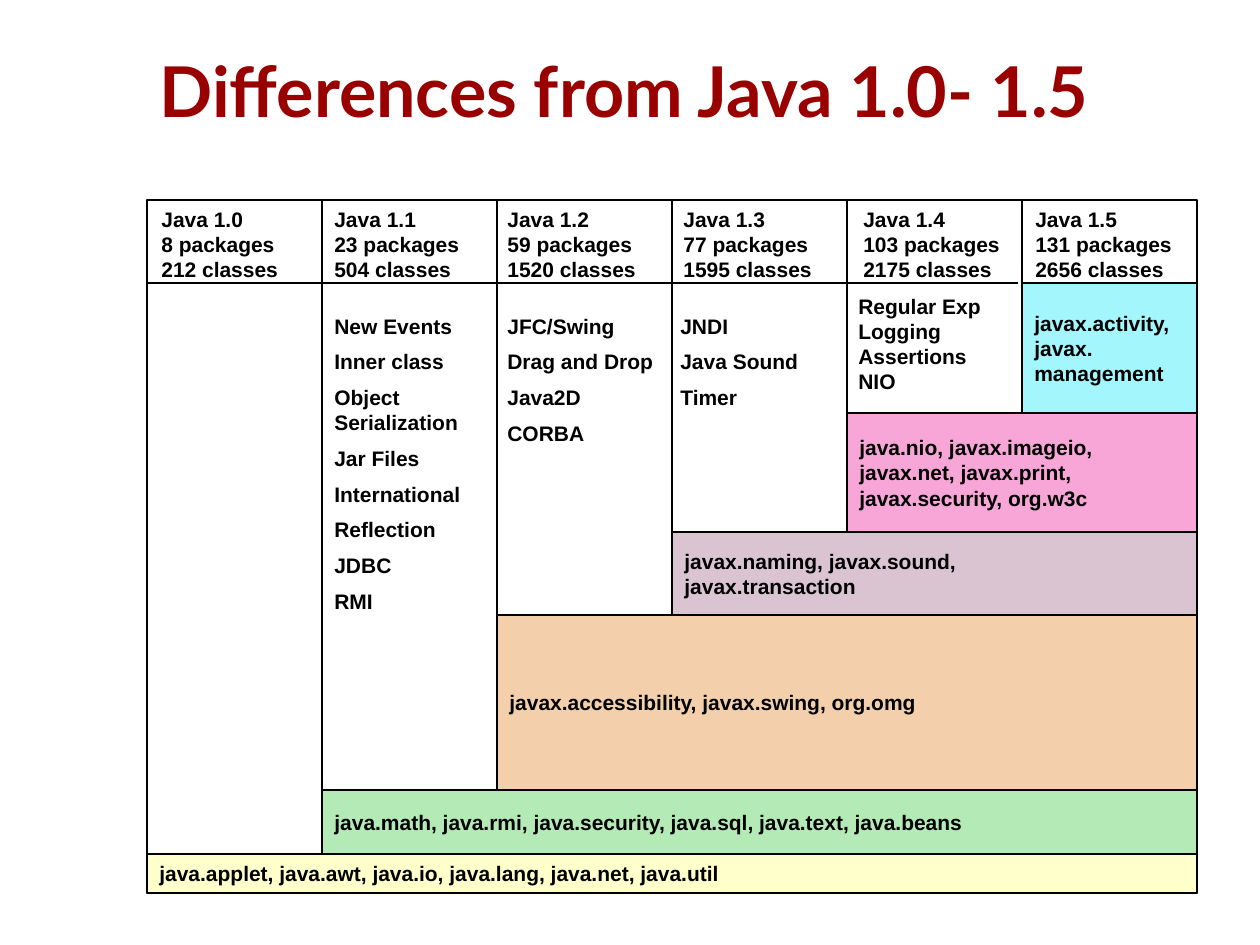
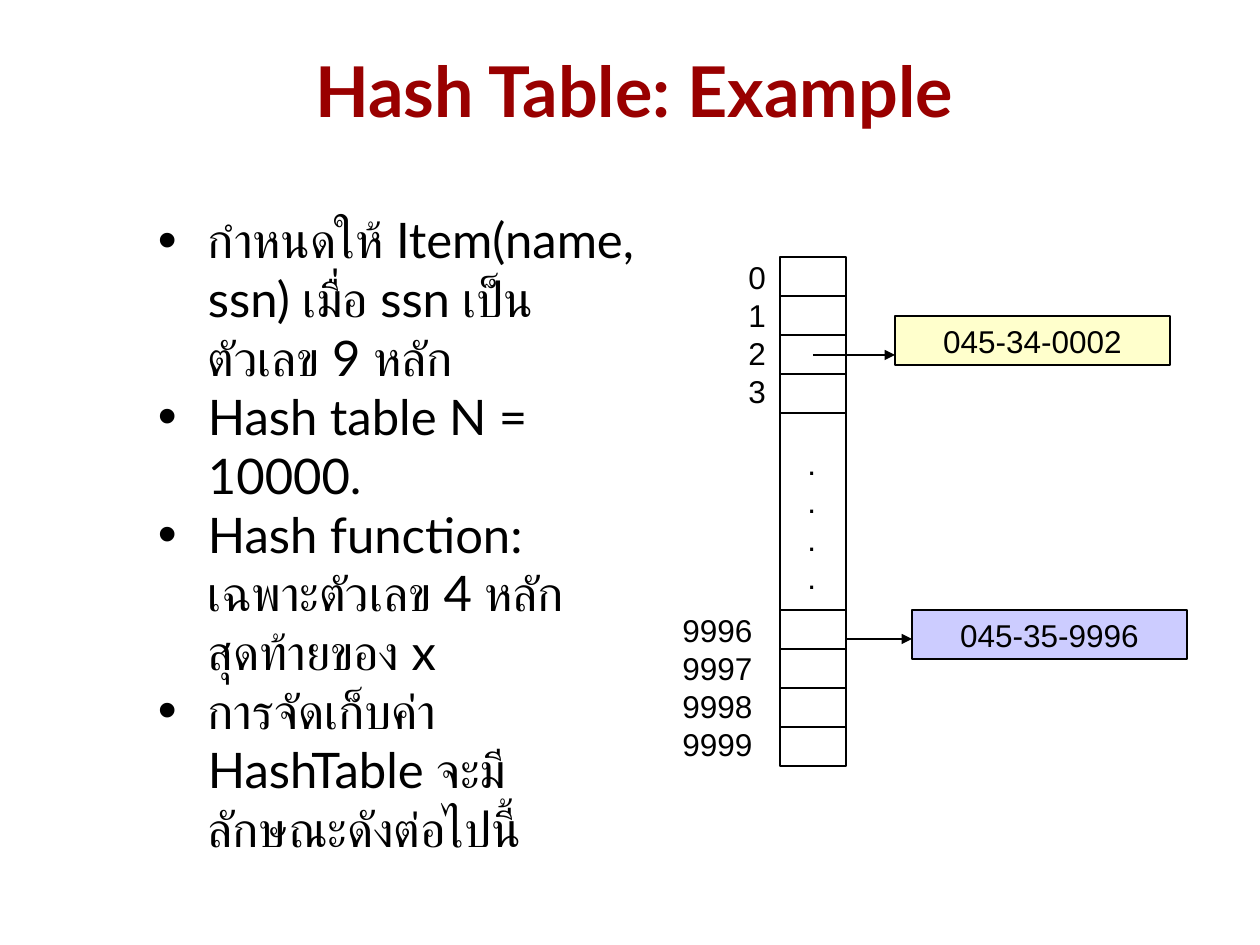
from lxml import etree
from pptx import Presentation
from pptx.dml.color import RGBColor
from pptx.enum.shapes import MSO_CONNECTOR, MSO_SHAPE
from pptx.enum.text import MSO_ANCHOR, MSO_AUTO_SIZE, PP_ALIGN
from pptx.oxml.ns import qn
from pptx.util import Emu, Pt

RECTANGLE = MSO_SHAPE.RECTANGLE
STRAIGHT = MSO_CONNECTOR.STRAIGHT
MIDDLE, TOP = MSO_ANCHOR.MIDDLE, MSO_ANCHOR.TOP
LEFT, CENTER = PP_ALIGN.LEFT, PP_ALIGN.CENTER
NO_AUTOFIT = MSO_AUTO_SIZE.NONE

EMU_PER_PX = 914400 / 126
SLIDE_SIZE = (1260, 945)
TITLE_FONT, LABEL_FONT = "Lato", "Arial"
LINE_FACTOR = 1.2
COLORS = {
    "title": "990000",
    "black": "000000",
    "yellow": "FFFFCC",
    "green": "B4EAB5",
    "orange": "F3CFAB",
    "mauve": "DAC4D1",
    "pink": "F8A6D7",
    "cyan": "A2F6FC",
    "lavender": "CCCCFF",
}

GRID_LEFT, GRID_TOP, GRID_RIGHT, GRID_BOTTOM = 147, 200, 1197, 893
COLUMN_WIDTH = 175
HEADER_BOTTOM = 283
VERSIONS = [
    ("Java 1.0", 8, 212, 149),
    ("Java 1.1", 23, 504, 322),
    ("Java 1.2", 59, 1520, 495),
    ("Java 1.3", 77, 1595, 671),
    ("Java 1.4", 103, 2175, 851),
    ("Java 1.5", 131, 2656, 1023),
]
PACKAGE_LAYERS = [
    (854, "yellow", ["java.applet, java.awt, java.io, java.lang, java.net, java.util"]),
    (790, "green", ["java.math, java.rmi, java.security, java.sql, java.text, java.beans"]),
    (615, "orange", ["javax.accessibility, javax.swing, org.omg"]),
    (532, "mauve", ["javax.naming, javax.sound,", "javax.transaction"]),
    (413, "pink", ["java.nio, javax.imageio,", "javax.net, javax.print,",
                   "javax.security, org.w3c"]),
    (283, "cyan", ["javax.activity,", "javax.", "management"]),
]
FEATURES = [
    (322, 307, 6, ["New Events", "Inner class", "Object Serialization", "Jar Files",
                   "International", "Reflection", "JDBC", "RMI"]),
    (495, 307, 6, ["JFC/Swing", "Drag and Drop", "Java2D", "CORBA"]),
    (668, 307, 6, ["JNDI", "Java Sound", "Timer"]),
    (846, 287, 0, ["Regular Exp", "Logging", "Assertions", "NIO"]),
]

HASH_POINTS = [
    "กำหนดให้ Item(name, ssn) เมื่อ ssn เป็นตัวเลข 9 หลัก",
    "Hash table N = 10000.",
    "Hash function: เฉพาะตัวเลข 4 หลักสุดท้ายของ x",
    "การจัดเก็บค่า HashTable จะมีลักษณะดังต่อไปนี้",
]
BUCKET_LEFT, BUCKET_TOP, BUCKET_WIDTH, BUCKET_HEIGHT = 780, 257, 66, 509
SLOT_HEIGHT = 39


def px(length):
    return Emu(round(length * EMU_PER_PX))


def color(name):
    return RGBColor.from_string(COLORS[name])


def style_font(paragraph, size, font_name, color_name="black", bold=False):
    paragraph.font.size = Pt(size)
    paragraph.font.name = font_name
    paragraph.font.bold = bold
    paragraph.font.color.rgb = color(color_name)


def write_lines(frame, lines, size, bold=False, align=LEFT, gap=0):
    for index, line in enumerate(lines):
        paragraph = frame.add_paragraph() if index else frame.paragraphs[0]
        paragraph.text = line
        paragraph.alignment = align
        paragraph.line_spacing = Pt(size * LINE_FACTOR)
        paragraph.space_before = Pt(gap if index else 0)
        style_font(paragraph, size, LABEL_FONT, bold=bold)


def add_box(slide, left, top, width, height, fill=None):
    shape = slide.shapes.add_shape(RECTANGLE, px(left), px(top), px(width), px(height))
    shape.shadow.inherit = False
    if fill:
        shape.fill.solid()
        shape.fill.fore_color.rgb = color(fill)
    else:
        shape.fill.background()
    shape.line.color.rgb = color("black")
    shape.line.width = Pt(0.75)
    shape.text_frame.vertical_anchor = MIDDLE
    return shape


def add_label(slide, left, top, width, height, lines, size, wrap=True, **style):
    shape = slide.shapes.add_textbox(px(left), px(top), px(width), px(height))
    shape.text_frame.word_wrap = wrap
    write_lines(shape.text_frame, lines, size, **style)


def add_line(slide, start, end, arrow=False):
    connector = slide.shapes.add_connector(STRAIGHT, *map(px, start + end))
    connector.line.color.rgb = color("black")
    connector.line.width = Pt(0.75)
    if arrow:
        etree.SubElement(connector.line._get_or_add_ln(), qn("a:tailEnd"), type="triangle")
    etree.SubElement(connector._element.spPr, qn("a:effectLst"))


def place_placeholder(shape, left, top, width, height, anchor):
    shape.left, shape.top = px(left), px(top)
    shape.width, shape.height = px(width), px(height)
    frame = shape.text_frame
    frame.margin_left = frame.margin_top = frame.margin_right = frame.margin_bottom = 0
    frame.word_wrap = True
    frame.auto_size = NO_AUTOFIT
    frame.vertical_anchor = anchor
    return frame


def add_titled_slide(presentation, layout_name, title, title_width):
    slide = presentation.slides.add_slide(presentation.slide_layouts.get_by_name(layout_name))
    frame = place_placeholder(slide.shapes.title, 156, 26, title_width, 142, MIDDLE)
    frame.text = title
    paragraph = frame.paragraphs[0]
    paragraph.alignment = CENTER
    paragraph.line_spacing = 0.81
    style_font(paragraph, 40, TITLE_FONT, "title", bold=True)
    return slide


def add_bullet(paragraph):
    properties = paragraph._p.get_or_add_pPr()
    properties.set("marL", str(px(50)))
    properties.set("indent", str(px(-50)))
    bullet_color = etree.SubElement(properties, qn("a:buClr"))
    etree.SubElement(bullet_color, qn("a:srgbClr"), val=COLORS["black"])
    etree.SubElement(properties, qn("a:buSzPct"), val="110000")
    etree.SubElement(properties, qn("a:buFont"), typeface=LABEL_FONT)
    etree.SubElement(properties, qn("a:buChar"), char="•")


def fill_bullets(frame, points):
    for index, point in enumerate(points):
        paragraph = frame.add_paragraph() if index else frame.paragraphs[0]
        paragraph.text = point
        add_bullet(paragraph)
        paragraph.alignment = LEFT
        paragraph.space_before = Pt(0)
        style_font(paragraph, 28, TITLE_FONT)


def build_versions_slide(presentation):
    slide = add_titled_slide(presentation, "Title Only", "Differences from Java 1.0- 1.5", 936)
    add_box(slide, GRID_LEFT, GRID_TOP, GRID_RIGHT - GRID_LEFT, GRID_BOTTOM - GRID_TOP)
    layer_bottom = GRID_BOTTOM
    for column, (top, fill, packages) in enumerate(PACKAGE_LAYERS):
        left = GRID_LEFT + column * COLUMN_WIDTH
        layer = add_box(slide, left, top, GRID_RIGHT - left, layer_bottom - top, fill)
        layer.text_frame.word_wrap = True
        write_lines(layer.text_frame, packages, 12, bold=True)
        if column:
            add_line(slide, (left, top), (left, GRID_TOP))
        layer_bottom = top
    for name, packages, classes, left in VERSIONS:
        lines = [name, f"{packages} packages", f"{classes} classes"]
        add_label(slide, left, GRID_TOP, 174, 88, lines, 12, bold=True)
    for left, top, gap, features in FEATURES:
        height = 13 + 25 * len(features) + 10 * (len(features) - 1)
        add_label(slide, left, top, 174, height, features, 12, bold=True, gap=gap)
    add_line(slide, (1018, HEADER_BOTTOM), (GRID_LEFT, HEADER_BOTTOM))


def build_hash_slide(presentation):
    slide = add_titled_slide(presentation, "Title and Content", "Hash Table: Example", 956)
    body = place_placeholder(slide.placeholders[1], 158, 210, 482, 595, TOP)
    fill_bullets(body, HASH_POINTS)

    add_box(slide, BUCKET_LEFT, BUCKET_TOP, BUCKET_WIDTH, BUCKET_HEIGHT)
    bucket_right = BUCKET_LEFT + BUCKET_WIDTH
    bucket_bottom = BUCKET_TOP + BUCKET_HEIGHT
    for slot in range(1, 5):
        for y in (BUCKET_TOP + slot * SLOT_HEIGHT, bucket_bottom - slot * SLOT_HEIGHT):
            add_line(slide, (BUCKET_LEFT, y), (bucket_right, y))

    indexes = [
        (795, 438, 34, ["."] * 4),
        (736, 252, 43, [str(index) for index in range(4)]),
        (670, 605, 96, [str(index) for index in range(9996, 10000)]),
    ]
    for left, top, width, lines in indexes:
        add_label(slide, left, top, width, 164, lines, 18, wrap=False)

    entries = [
        ("045-34-0002", "yellow", 895, 316, 813, 355),
        ("045-35-9996", "lavender", 912, 610, bucket_right, 639),
    ]
    for number, fill, left, top, arrow_left, arrow_y in entries:
        entry = add_box(slide, left, top, 275, 49, fill)
        entry.text_frame.word_wrap = False
        write_lines(entry.text_frame, [number], 18, align=CENTER)
        add_line(slide, (arrow_left, arrow_y), (left, arrow_y), arrow=True)


def main():
    presentation = Presentation()
    presentation.slide_width, presentation.slide_height = map(px, SLIDE_SIZE)
    build_versions_slide(presentation)
    build_hash_slide(presentation)
    presentation.save("out.pptx")


if __name__ == "__main__":
    main()
